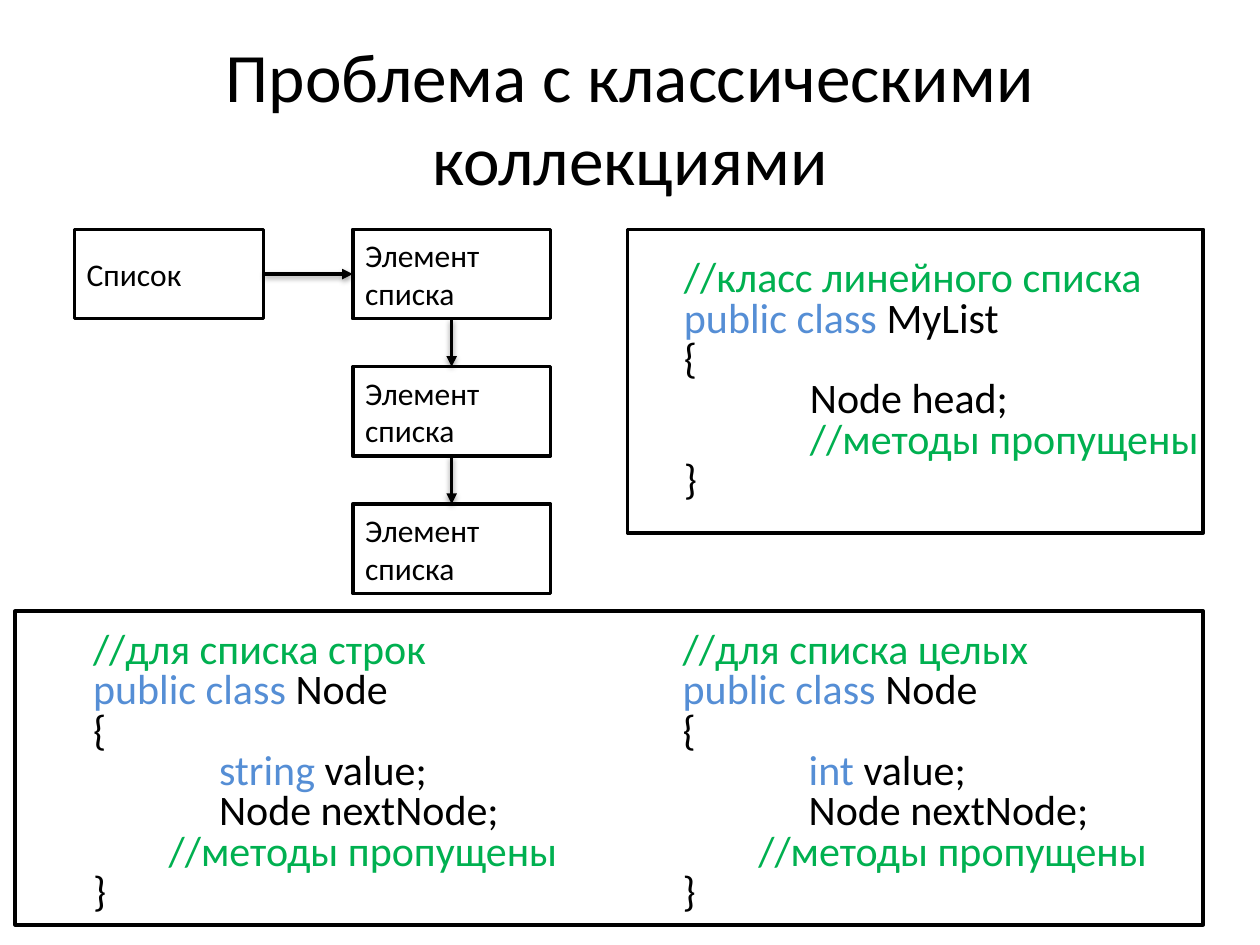
"""Build a slide on the drawback of classic, type-specific list collections."""
from lxml.etree import SubElement
from pptx import Presentation
from pptx.dml.color import RGBColor
from pptx.enum.shapes import MSO_CONNECTOR, MSO_SHAPE
from pptx.enum.text import MSO_ANCHOR, MSO_AUTO_SIZE, PP_ALIGN
from pptx.oxml.ns import qn
from pptx.util import Inches, Pt

COLORS = {
    "text": RGBColor.from_string("000000"),
    "paper": RGBColor.from_string("FFFFFF"),
    "comment": RGBColor.from_string("00B050"),
    "keyword": RGBColor.from_string("558ED5"),
}
FONT = "Calibri"
BASE, SPACED, TABBED = 0.44, 1.04, 1.44


def add_box(left, top, width, height, label=None):
    box = page.shapes.add_shape(MSO_SHAPE.RECTANGLE, Inches(left), Inches(top), Inches(width), Inches(height))
    box.shadow.inherit = False
    box.line.color.rgb = COLORS["text"]
    box.line.width = Pt(2)
    if label is None:
        box.fill.background()
        return box
    box.fill.solid()
    box.fill.fore_color.rgb = COLORS["paper"]
    box.text_frame.text = label
    para = box.text_frame.paragraphs[0]
    para.font.name, para.font.size = FONT, Pt(18)
    para.font.color.rgb = COLORS["text"]
    return box


def add_code(left, top, width, height, lines):
    frame = page.shapes.add_textbox(Inches(left), Inches(top), Inches(width), Inches(height)).text_frame
    frame.word_wrap = True
    for number, (indent, spans) in enumerate(lines):
        para = frame.add_paragraph() if number else frame.paragraphs[0]
        para.line_spacing = 0.8
        para.font.name, para.font.size = FONT, Pt(24)
        properties = para._p.get_or_add_pPr()
        properties.set("marL", str(Inches(indent)))
        properties.set("indent", "0")
        for text, color in spans:
            span = para.add_run()
            span.text = text
            span.font.color.rgb = COLORS[color]


deck = Presentation()
deck.slide_width, deck.slide_height = Inches(10), Inches(7.5)
page = deck.slides.add_slide(deck.slide_layouts[5])

title = page.shapes.title
title.left, title.top, title.width, title.height = Inches(0.5), Inches(0.3), Inches(9), Inches(1.25)
title.text_frame.text = "Проблема с классическими коллекциями"
title.text_frame.auto_size = MSO_AUTO_SIZE.NONE
title.text_frame.vertical_anchor = MSO_ANCHOR.MIDDLE
heading = title.text_frame.paragraphs[0]
heading.alignment = PP_ALIGN.CENTER
heading.font.name, heading.font.size = FONT, Pt(39.6)
heading.font.color.rgb = COLORS["text"]

opening = (BASE, [("{", "text")])
closing = (BASE, [("}", "text")])
omitted = [("//методы пропущены", "comment")]

for left, width, plural, value_type in [(0.2, 4.33, "строк", "string "), (4.88, 4.76, "целых", "int ")]:
    add_code(left, 4.97, width, 2.36, [
        (BASE, [(f"//для списка {plural}", "comment")]),
        (BASE, [("public class ", "keyword"), ("Node", "text")]),
        opening,
        (TABBED, [(value_type, "keyword"), ("value;", "text")]),
        (TABBED, [("Node nextNode;", "text")]),
        (SPACED, omitted),
        closing,
    ])

add_code(4.89, 2.02, 4.76, 2.04, [
    (BASE, [("//класс линейного списка", "comment")]),
    (BASE, [("public class ", "keyword"), ("MyList", "text")]),
    opening,
    (TABBED, [("Node head;", "text")]),
    (TABBED, omitted),
    closing,
])

list_box = add_box(0.59, 1.82, 1.5, 0.71, "Список")
items = [add_box(2.8, 1.82 + 1.09 * row, 1.57, 0.71, "Элемент списка") for row in range(3)]

links = [(list_box, 3, items[0], 1), (items[0], 2, items[1], 0), (items[1], 2, items[2], 0)]
for source, start, target, end in links:
    arrow = page.shapes.add_connector(MSO_CONNECTOR.STRAIGHT, 0, 0, 0, 0)
    arrow.begin_connect(source, start)
    arrow.end_connect(target, end)
    arrow.line.color.rgb = COLORS["text"]
    arrow.line.width = Pt(2)
    SubElement(arrow.line._get_or_add_ln(), qn("a:tailEnd"), type="triangle")

add_box(4.98, 1.82, 4.57, 2.41)
add_box(0.12, 4.85, 9.43, 2.49)

deck.save("out.pptx")
